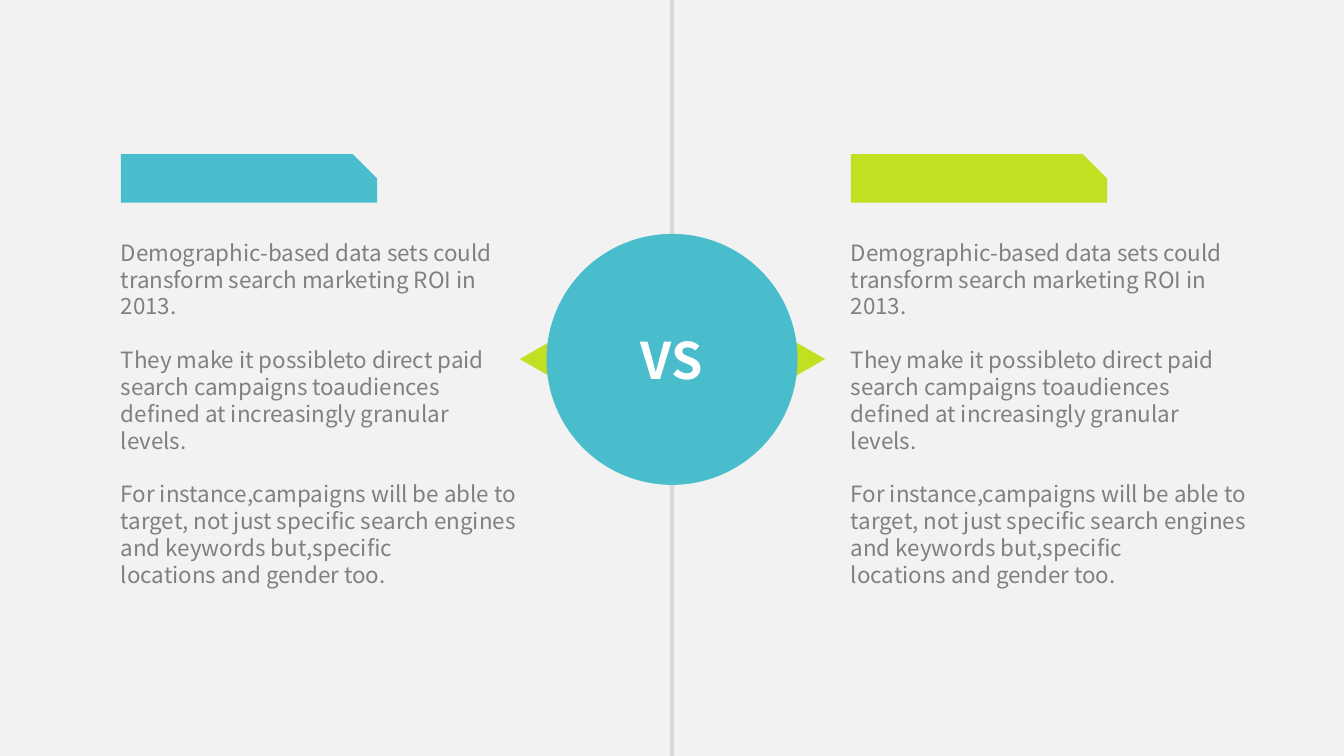
"""Build a versus slide comparing two columns of text around a central badge."""
from dataclasses import dataclass

from lxml.etree import SubElement
from pptx import Presentation
from pptx.dml.color import RGBColor
from pptx.enum.shapes import MSO_CONNECTOR, MSO_SHAPE
from pptx.enum.text import MSO_ANCHOR, MSO_AUTO_SIZE, PP_ALIGN
from pptx.oxml.ns import qn
from pptx.shapes.autoshape import Shape
from pptx.slide import Slide
from pptx.text.text import _Paragraph as Paragraph
from pptx.util import Inches, Pt

FONT = "Noto Sans CJK SC"
TEAL, LIME = "4ABDCC", "C3DF21"
WHITE, BACKDROP, DIVIDER, BODY = "FFFFFF", "F2F2F2", "D9D9D9", "808080"
WIDTH, HEIGHT = 13.33, 7.5
LINE_PITCH = 19.2


@dataclass(frozen=True)
class Passage:
    text: str
    gap_before: float = 0


@dataclass(frozen=True)
class Side:
    left: float
    banner_color: str


@dataclass(frozen=True)
class Pointer:
    left: float
    rotation: float


PASSAGES = (
    Passage("Demographic-based data sets could transform search marketing ROI in 2013."),
    Passage("They make it possibleto direct paid search campaigns toaudiences "
            "defined at increasingly granular levels.", LINE_PITCH),
    Passage("For instance,campaigns will be able to target, not just specific "
            "search engines and keywords but,specific", LINE_PITCH),
    Passage("locations and gender too."),
)
SIDES = (Side(1.1, TEAL), Side(8.34, LIME))
POINTERS = (Pointer(7.22, 330), Pointer(5.28, 30))


def rgb(color: str) -> RGBColor:
    return RGBColor.from_string(color)


def add_filled(slide: Slide, kind: MSO_SHAPE, left: float, top: float,
               width: float, height: float, color: str) -> Shape:
    shape = slide.shapes.add_shape(
        kind, Inches(left), Inches(top), Inches(width), Inches(height))
    shape.shadow.inherit = False
    shape.fill.solid()
    shape.fill.fore_color.rgb = rgb(color)
    shape.line.fill.background()
    return shape


def add_run(paragraph: Paragraph, text: str, size: float, color: str,
            bold: bool = False) -> None:
    run = paragraph.add_run()
    run.text = text
    run.font.name = FONT
    run.font.size = Pt(size)
    run.font.bold = bold
    run.font.color.rgb = rgb(color)


def add_divider(slide: Slide) -> None:
    middle = Inches(WIDTH / 2)
    divider = slide.shapes.add_connector(
        MSO_CONNECTOR.STRAIGHT, middle, 0, middle, Inches(HEIGHT))
    divider.line.color.rgb = rgb(DIVIDER)
    divider.line.width = Pt(3)
    SubElement(divider._element.spPr, qn("a:effectLst"))


def add_badge(slide: Slide) -> None:
    badge = add_filled(slide, MSO_SHAPE.OVAL, 5.42, 2.32, 2.49, 2.49, TEAL)
    frame = badge.text_frame
    frame.vertical_anchor = MSO_ANCHOR.MIDDLE
    label = frame.paragraphs[0]
    label.alignment = PP_ALIGN.CENTER
    add_run(label, "VS", 36, WHITE, bold=True)


def add_side(slide: Slide, side: Side) -> None:
    column = slide.shapes.add_textbox(
        Inches(side.left), Inches(2.32), Inches(4.13), Inches(4.14))
    frame = column.text_frame
    frame.word_wrap = True
    frame.auto_size = MSO_AUTO_SIZE.SHAPE_TO_FIT_TEXT
    for index, passage in enumerate(PASSAGES):
        paragraph = frame.add_paragraph() if index else frame.paragraphs[0]
        paragraph.line_spacing = Pt(LINE_PITCH)
        paragraph.space_before = Pt(passage.gap_before)
        add_run(paragraph, passage.text, 16, BODY)
    banner = add_filled(slide, MSO_SHAPE.SNIP_1_RECTANGLE, side.left + 0.1, 1.53,
                        2.54, 0.48, side.banner_color)
    banner.adjustments[0] = 0.5


def main() -> None:
    deck = Presentation()
    deck.slide_width, deck.slide_height = Inches(WIDTH), Inches(HEIGHT)
    slide = deck.slides.add_slide(deck.slide_layouts[6])
    slide.background.fill.solid()
    slide.background.fill.fore_color.rgb = rgb(BACKDROP)
    for pointer in POINTERS:
        arrow = add_filled(slide, MSO_SHAPE.ISOSCELES_TRIANGLE, pointer.left, 3.1,
                           0.84, 0.72, LIME)
        arrow.rotation = pointer.rotation
    add_divider(slide)
    add_badge(slide)
    for side in SIDES:
        add_side(slide, side)
    deck.save("out.pptx")


if __name__ == "__main__":
    main()
